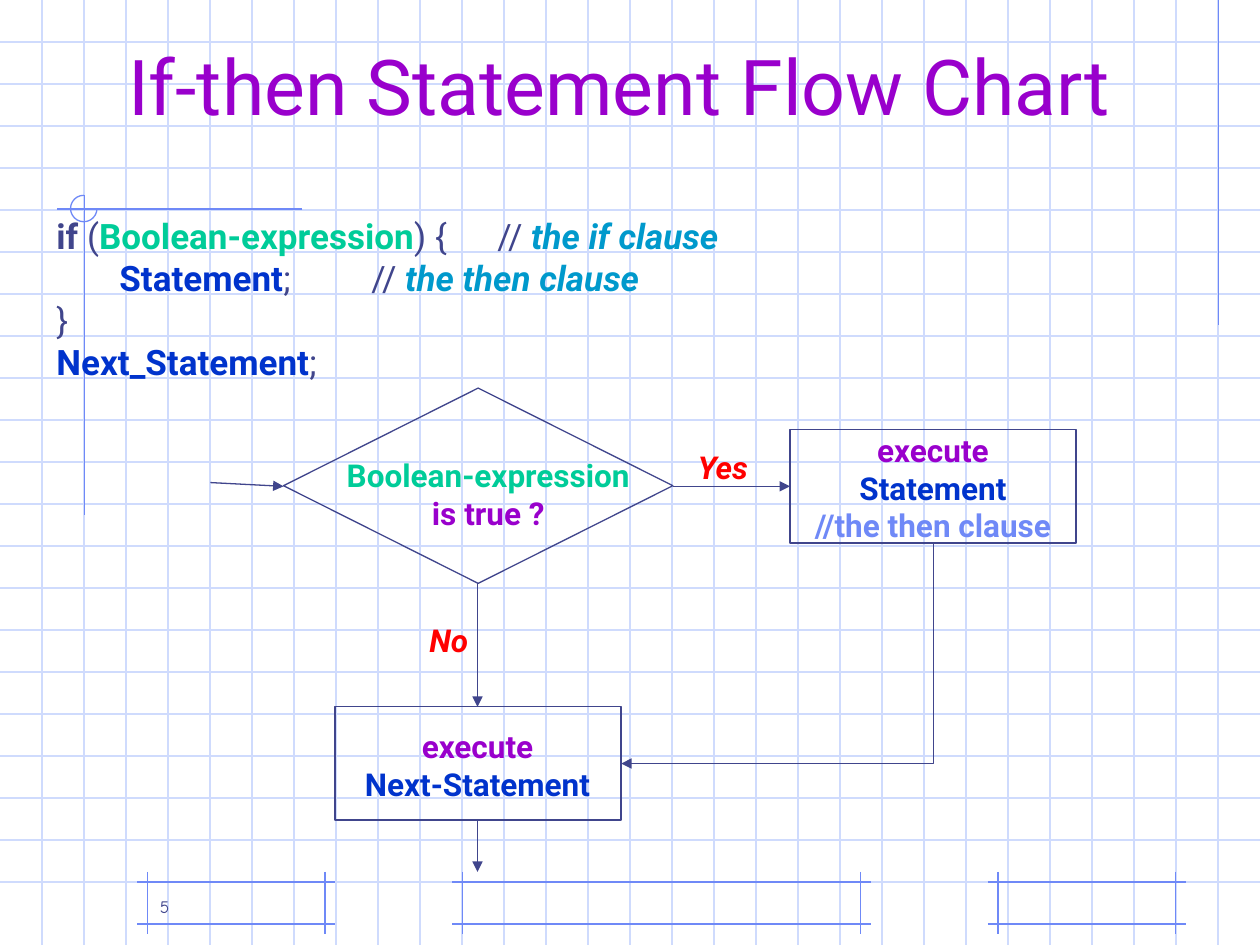
from dataclasses import dataclass

from lxml.etree import SubElement
from pptx import Presentation
from pptx.dml.color import RGBColor
from pptx.enum.shapes import MSO_CONNECTOR as CONN, MSO_SHAPE as SHAPE
from pptx.enum.text import MSO_ANCHOR as ANCHOR, MSO_AUTO_SIZE as FIT, PP_ALIGN as ALIGN
from pptx.oxml.ns import qn
from pptx.util import Inches, Pt

WIDTH, HEIGHT = 10, 7.5
STEP = 1 / 3
OVERHANG = 0.08
COLORS = {
    "grid": "CFDBFD", "trim": "6F89F7", "ink": "40458C", "purple": "9900CC",
    "green": "00CC99", "blue": "0033CC", "teal": "0099CC", "red": "FF0000",
}


@dataclass
class Run:
    text: str
    color: str = "ink"
    bold: bool = False
    italic: bool = False


@dataclass
class Label:
    box: tuple[float, float, float, float]
    lines: list[list[Run]]
    size: float = 18
    align: ALIGN = ALIGN.CENTER
    font: str = "Roboto"
    wrap: bool = False
    anchor: ANCHOR = ANCHOR.TOP


@dataclass
class Node:
    kind: SHAPE
    box: tuple[float, float, float, float]
    label: Label


def rgb(name: str) -> RGBColor:
    return RGBColor.from_string(COLORS[name])


def bold_lines(*pairs: tuple[str, str]) -> list[list[Run]]:
    """One bold run on each line, from (text, color) pairs."""
    return [[Run(text, color, bold=True)] for text, color in pairs]


TITLE = Label((0.67, 0.17, 8.5, 0.92), [[Run("If-then Statement Flow Chart", "purple")]],
              size=44, wrap=True, anchor=ANCHOR.BOTTOM)
CODE = Label((-1.65, 1.65, 10.5, 1.44), [
    [Run("if", bold=True), Run(" ("), Run("Boolean-expression", "green", True),
     Run(") {\t// "), Run("the if clause", "teal", True, True)],
    [Run("\t"), Run("Statement", "blue", True), Run(";\t\t// "),
     Run("the then clause", "teal", True, True)],
    [Run("}")],
    [Run("Next_Statement", "blue", True), Run(";")],
], size=20, align=ALIGN.LEFT, wrap=True)
CODE_INDENT = 2
CODE_TABS = range(3, 10)

NODES = [
    Node(SHAPE.FLOWCHART_DECISION, (2.25, 3.08, 3.09, 1.55),
         Label((2.55, 3.57, 2.65, 0.7),
               bold_lines(("Boolean-expression", "green"), ("is true ?", "purple")))),
    Node(SHAPE.RECTANGLE, (6.27, 3.41, 2.27, 0.9),
         Label((6.24, 3.37, 2.33, 1),
               bold_lines(("execute", "purple"), ("Statement", "blue"),
                          ("//the then clause", "trim")))),
    Node(SHAPE.RECTANGLE, (2.66, 5.61, 2.27, 0.9),
         Label((2.69, 5.72, 2.2, 0.7),
               bold_lines(("execute", "purple"), ("Next-Statement", "blue")))),
]
BRANCHES = [
    Label((3.31, 4.88, 0.53, 0.4), [[Run("No", "red", True, True)]], align=ALIGN.LEFT),
    Label((5.44, 3.51, 0.6, 0.4), [[Run("Yes", "red", True, True)]], align=ALIGN.LEFT),
]
ARROWS = [
    (1.67, 3.83, 2.25, 3.86),
    (3.79, 4.63, 3.79, 5.61),
    (5.34, 3.86, 6.27, 3.86),
    (3.79, 6.51, 3.79, 6.92),
]
RETURN_PATH = (7.41, 4.31, 4.93, 6.06)
FRAMES = [(3.67, 6.83), (7.92, 9.33), (1.17, 2.58)]
TRIM_LINES = [(9.67, 0, 9.67, 2.58), (2.4, 1.66, 0.45, 1.66), (0.67, 1.55, 0.67, 4.09)]
PAGE_NUMBER = Label((1.17, 6.83, 2.08, 0.5), [[Run("5")]], size=10, align=ALIGN.LEFT,
                    font="Comic Neue", wrap=True, anchor=ANCHOR.BOTTOM)


def add_line(s, ends, color: str, arrow: bool = False, kind: CONN = CONN.STRAIGHT):
    line = s.shapes.add_connector(kind, *map(Inches, ends))
    line.line.color.rgb = rgb(color)
    line.line.width = Pt(0.75)
    if arrow:
        SubElement(line.line._get_or_add_ln(), qn("a:tailEnd"), type="triangle")
    SubElement(line.element.spPr, qn("a:effectLst"))
    return line


def add_return_arrow(s, ends) -> None:
    """Arrow that goes down and then left: a one-bend connector turned by 90°."""
    x1, y1, x2, y2 = ends
    w, h = y2 - y1, x1 - x2
    left, top = (x1 + x2 - w) / 2, (y1 + y2 - h) / 2
    line = add_line(s, (left, top, left + w, top + h), "ink", True, CONN.ELBOW)
    line.element.spPr.find(qn("a:prstGeom")).set("prst", "bentConnector2")
    line.element.spPr.find(qn("a:xfrm")).set("rot", str(90 * 60000))


def add_outline(s, kind: SHAPE, box, color: str):
    sp = s.shapes.add_shape(kind, *map(Inches, box))
    sp.shadow.inherit = False
    sp.fill.background()
    sp.line.color.rgb = rgb(color)
    sp.line.width = Pt(0.75)
    return sp


def write_label(sp, label: Label) -> None:
    tf = sp.text_frame
    settings = {"word_wrap": label.wrap, "auto_size": FIT.NONE, "vertical_anchor": label.anchor}
    for name, value in settings.items():
        setattr(tf, name, value)
    for i, line in enumerate(label.lines):
        p = tf.add_paragraph() if i else tf.paragraphs[0]
        p.alignment = label.align
        for run in line:
            r = p.add_run()
            r.text = run.text
            font = {"name": label.font, "size": Pt(label.size),
                    "bold": run.bold, "italic": run.italic}
            for name, value in font.items():
                setattr(r.font, name, value)
            r.font.color.rgb = rgb(run.color)


def add_label(s, label: Label):
    sp = s.shapes.add_textbox(*map(Inches, label.box))
    write_label(sp, label)
    return sp


def draw_background(s) -> None:
    for i in range(1, round(HEIGHT / STEP)):
        add_line(s, (0, i * STEP, WIDTH, i * STEP), "grid")
    for i in range(1, round(WIDTH / STEP)):
        add_line(s, (i * STEP, 0, i * STEP, HEIGHT), "grid")
    top, bottom = 7, 7 + STEP
    for left, right in FRAMES:
        for y in (top, bottom):
            add_line(s, (left - OVERHANG, y, right + OVERHANG, y), "trim")
        for x in (left, right):
            add_line(s, (x, top - OVERHANG, x, bottom + OVERHANG), "trim")
    for ends in TRIM_LINES:
        add_line(s, ends, "trim")
    arc = add_outline(s, SHAPE.ARC, (0.56, 1.55, 0.21, 0.21), "trim")
    arc.adjustments[0], arc.adjustments[1] = 0, 162


def place_title(s) -> None:
    title = s.shapes.title
    for name, value in zip(("left", "top", "width", "height"), TITLE.box):
        setattr(title, name, Inches(value))
    write_label(title, TITLE)
    title.element.getparent().append(title.element)  # in front of the grid


def add_code(s) -> None:
    for p in add_label(s, CODE).text_frame.paragraphs:
        p.level = 4
        pPr = p._p.get_or_add_pPr()
        pPr.set("marL", str(Inches(CODE_INDENT)))
        pPr.set("indent", "0")
        tabs = SubElement(pPr, qn("a:tabLst"))
        for pos in CODE_TABS:
            SubElement(tabs, qn("a:tab"), pos=str(Inches(pos)), algn="l")


def main() -> None:
    prs = Presentation()
    prs.slide_width, prs.slide_height = Inches(WIDTH), Inches(HEIGHT)
    s = prs.slides.add_slide(prs.slide_layouts[5])
    draw_background(s)
    place_title(s)
    for ends in ARROWS:
        add_line(s, ends, "ink", arrow=True)
    add_return_arrow(s, RETURN_PATH)
    for node in NODES:
        add_outline(s, node.kind, node.box, "ink")
        add_label(s, node.label)
    for label in (*BRANCHES, PAGE_NUMBER):
        add_label(s, label)
    add_code(s)
    prs.save("out.pptx")


if __name__ == "__main__":
    main()
